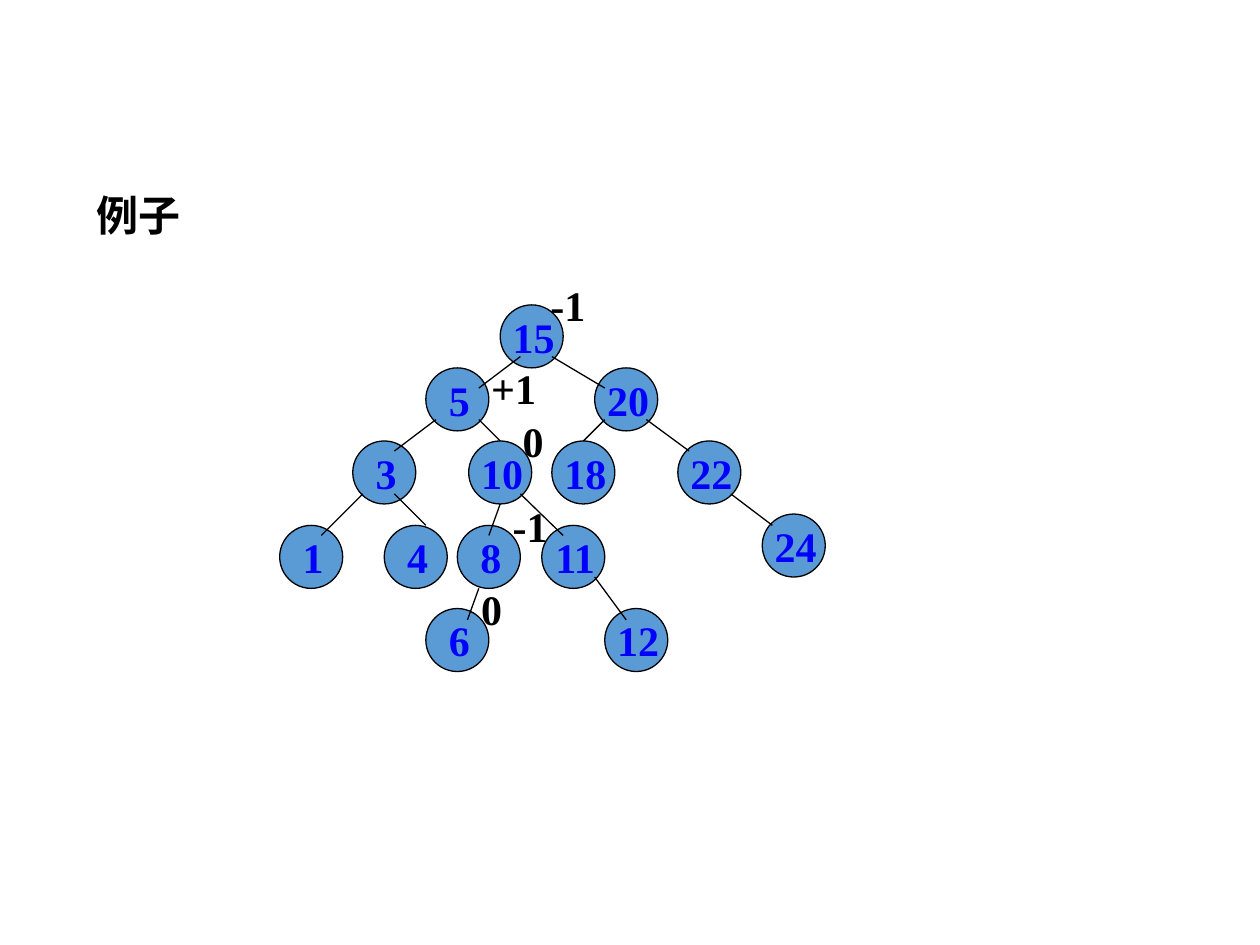
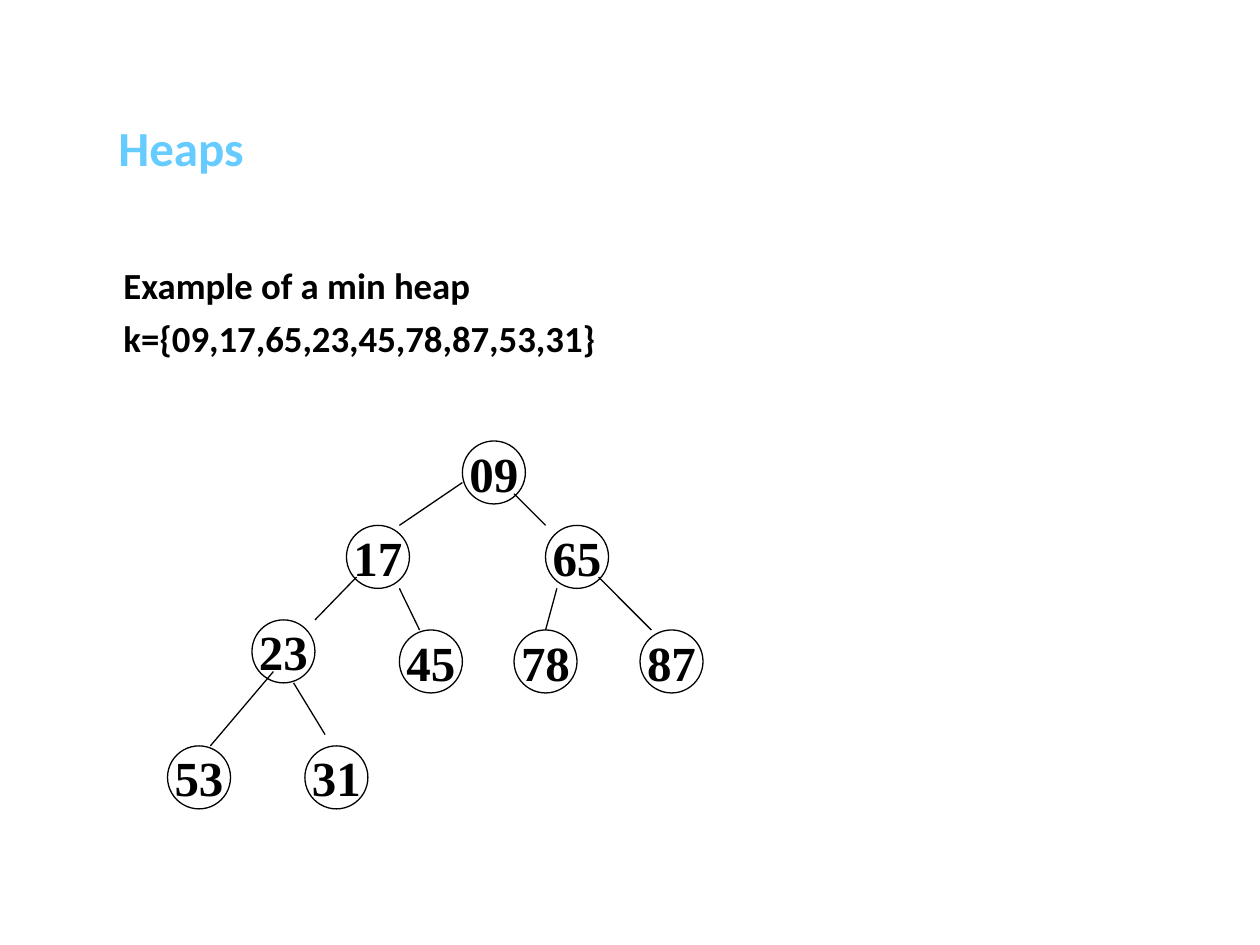
from lxml import etree
from pptx import Presentation
from pptx import util as u
from pptx.dml.color import RGBColor
from pptx.enum import shapes, text
from pptx.oxml import ns

BLACK, BLUE, SKY, STEEL = "000000", "0000FF", "66CCFF", "5B9BD5"
SANS, SERIF = "Calibri", "Times New Roman"
NODE_SIZE = 0.5
LINE_WIDTH = u.Pt(0.74)


def paint(fill, colour):
    """Give a fill a solid hex colour."""
    fill.solid()
    fill.fore_color.rgb = RGBColor.from_string(colour)


def write(shape, words, size, font=SERIF, colour=BLACK, wrap=False,
          left=0.1, align=text.PP_ALIGN.LEFT, anchor=text.MSO_ANCHOR.TOP,
          before=0, spacing=1.0):
    """Fill a shape with bold text, one paragraph a line."""
    frame = shape.text_frame
    frame.word_wrap = wrap
    frame.vertical_anchor = anchor
    frame.margin_left = u.Inches(left)
    frame.text = words
    for paragraph in frame.paragraphs:
        paragraph.alignment = align
        paragraph.space_before = u.Pt(before)
        paragraph.line_spacing = spacing
        face = paragraph.runs[0].font
        face.name, face.size, face.bold = font, u.Pt(size), True
        paint(face.fill, colour)


# Nodes are (key, left, top); edges run from parent to child.
search_tree = {
    "outline": shapes.MSO_SHAPE.FLOWCHART_CONNECTOR,
    "fill": STEEL,
    "key": {"size": 24, "colour": BLUE, "left": 0.13},
    "nodes": [
        ("15", 3.97, 2.42), ("5", 3.38, 2.92), ("20", 4.72, 2.92),
        ("3", 2.8, 3.5), ("10", 3.72, 3.5), ("18", 4.38, 3.5),
        ("22", 5.38, 3.5), ("1", 2.22, 4.17), ("4", 3.05, 4.17),
        ("8", 3.63, 4.17), ("11", 4.3, 4.17), ("24", 6.05, 4.08),
        ("6", 3.38, 4.83), ("12", 4.8, 4.83),
    ],
    "edges": [
        (4.13, 2.83, 3.8, 3.08), (4.38, 2.83, 4.8, 3.08),
        (3.46, 3.33, 3.13, 3.58), (3.8, 3.33, 3.97, 3.5),
        (4.8, 3.33, 4.63, 3.5), (5.13, 3.33, 5.47, 3.58),
        (2.88, 3.92, 2.55, 4.25), (3.13, 3.92, 3.38, 4.17),
        (3.97, 4, 3.88, 4.25), (4.13, 3.92, 4.47, 4.25),
        (5.8, 3.92, 6.13, 4.17), (3.8, 4.67, 3.71, 4.92),
        (4.72, 4.58, 4.97, 4.92),
    ],
}
min_heap = {
    "outline": shapes.MSO_SHAPE.OVAL,
    "fill": None,
    "key": {"size": 28},
    "nodes": [
        ("09", 3.67, 3.5), ("17", 2.75, 4.17), ("65", 4.33, 4.17),
        ("23", 2, 4.92), ("45", 3.17, 5), ("78", 4.08, 5),
        ("87", 5.08, 5), ("53", 1.33, 5.92), ("31", 2.42, 5.92),
    ],
    "edges": [
        (3.67, 3.83, 3.17, 4.17), (4.08, 3.92, 4.33, 4.17),
        (2.83, 4.58, 2.5, 4.92), (3.17, 4.67, 3.33, 5),
        (4.42, 4.67, 4.33, 5), (4.75, 4.58, 5.17, 5),
        (2.17, 5.33, 1.67, 5.92), (2.33, 5.42, 2.58, 5.83),
    ],
}
# Balance factors are (value, left, top, width), each wide enough for one line.
balance_factors = [
    ("-1", 4.27, 2.17, 0.5), ("+1", 3.8, 2.83, 0.58), ("0", 4.05, 3.25, 0.38),
    ("-1", 3.97, 3.92, 0.5), ("0", 3.72, 4.58, 0.38),
]
body = {"font": SANS, "wrap": True, "before": 7.5, "spacing": 0.9}

deck = Presentation()
deck.slide_width, deck.slide_height = u.Inches(10), u.Inches(7.5)
blank = deck.slide_layouts[6]
tree_slide, heap_slide = (deck.slides.add_slide(blank) for _ in range(2))

# Headings and body text
example = tree_slide.shapes.add_textbox(*map(u.Inches, (0.67, 1.5, 8.5, 5.17)))
write(example, "例子", size=24, **body)
title = heap_slide.shapes.add_textbox(*map(u.Inches, (0.75, 0.67, 8.5, 1.05)))
write(title, "Heaps", size=28, font=SANS, colour=SKY, wrap=True, left=0.19,
      anchor=text.MSO_ANCHOR.MIDDLE, spacing=0.9)
keys = heap_slide.shapes.add_textbox(*map(u.Inches, (0.75, 2.08, 8.5, 4.5)))
write(keys, "Example of a min heap\nk={09,17,65,23,45,78,87,53,31}",
      size=21, left=0.23, **body)

# Trees
for slide, tree in ((tree_slide, search_tree), (heap_slide, min_heap)):
    for key, left, top in tree["nodes"]:
        node = slide.shapes.add_shape(
            tree["outline"],
            *map(u.Inches, (left, top, NODE_SIZE, NODE_SIZE)))
        node.shadow.inherit = False
        if tree["fill"]:
            paint(node.fill, tree["fill"])
        else:
            node.fill.background()
        paint(node.line.fill, BLACK)
        node.line.width = LINE_WIDTH
        write(node, key, align=text.PP_ALIGN.CENTER,
              anchor=text.MSO_ANCHOR.MIDDLE, **tree["key"])
    for ends in tree["edges"]:
        edge = slide.shapes.add_connector(
            shapes.MSO_CONNECTOR.STRAIGHT, *map(u.Inches, ends))
        paint(edge.line.fill, BLACK)
        edge.line.width = LINE_WIDTH
        etree.SubElement(edge._element.spPr, ns.qn("a:effectLst"))

for value, left, top, width in balance_factors:
    factor = tree_slide.shapes.add_textbox(
        *map(u.Inches, (left, top, width, 0.5)))
    write(factor, value, size=24, wrap=True)

deck.save("out.pptx")
